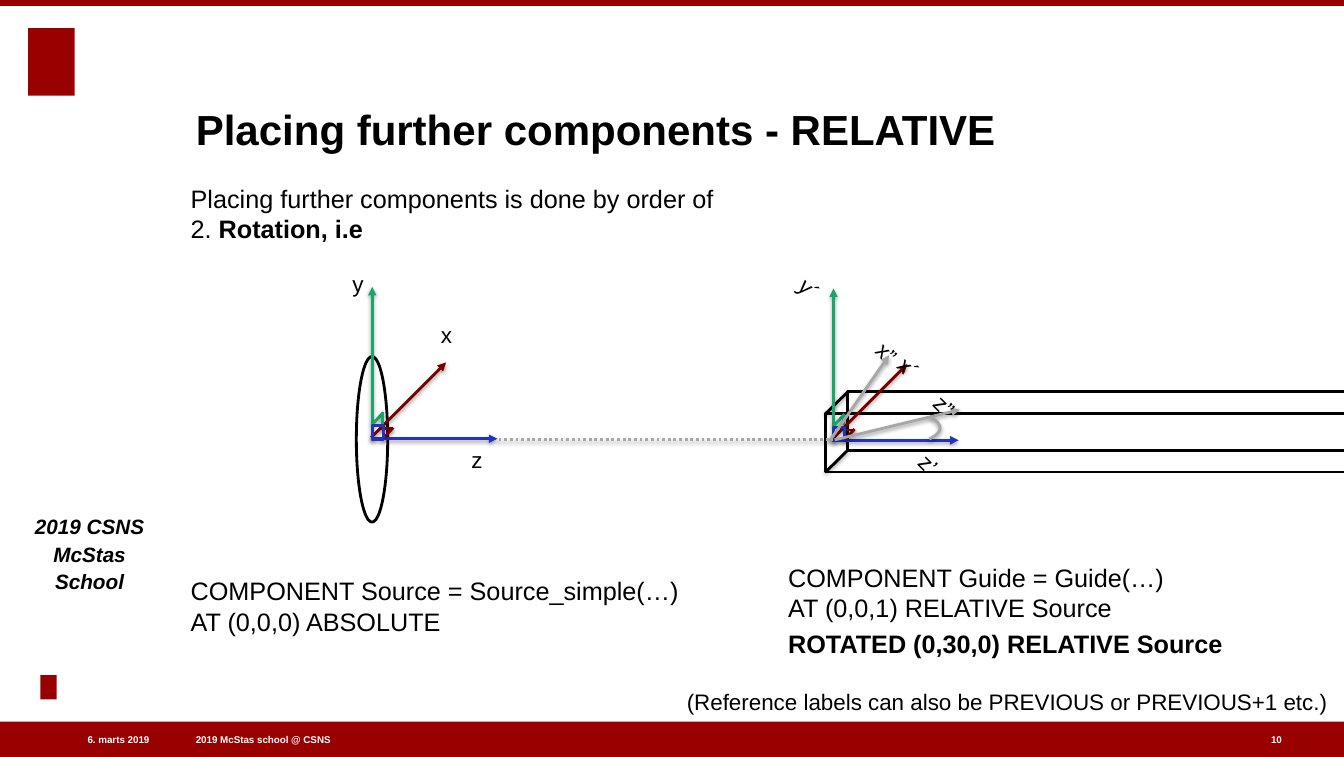
from lxml import etree
from pptx import Presentation
from pptx.dml.color import RGBColor
from pptx.enum.dml import MSO_LINE
from pptx.enum.shapes import MSO_CONNECTOR, MSO_SHAPE
from pptx.enum.text import MSO_ANCHOR, MSO_AUTO_SIZE, PP_ALIGN
from pptx.oxml import parse_xml
from pptx.oxml.ns import nsdecls, qn
from pptx.util import Cm, Pt

BLACK = RGBColor(0x00, 0x00, 0x00)
WHITE = RGBColor(0xFF, 0xFF, 0xFF)
BRAND_RED = RGBColor(0x99, 0x00, 0x00)
X_RED = RGBColor(0x7A, 0x00, 0x00)
Y_GREEN = RGBColor(0x19, 0xA6, 0x68)
Z_BLUE = RGBColor(0x26, 0x32, 0xBB)
GREY = RGBColor(0xA7, 0xA7, 0xA7)

TITLE = "Placing further components - RELATIVE"
# Paragraphs: (space before in points, [(text, bold), ...])
STEPS = [
    (0, [("Placing further components is done by order of\n2. ", False),
         ("Rotation, i.e", True)]),
    (237, [("COMPONENT Source = Source_simple(…)\nAT (0,0,0) ABSOLUTE", False)]),
]
GUIDE_CODE = [
    (0, [("COMPONENT Guide = Guide(…)\nAT (0,0,1) RELATIVE Source", False)]),
    (4, [("ROTATED (0,30,0) RELATIVE Source", True)]),
]
NOTE = "(Reference labels can also be PREVIOUS or PREVIOUS+1 etc.)"
SCHOOL = "2019 CSNS\nMcStas School"

# All places and sizes below are in centimetres.
BANDS = [(0, 18.16, 33.83, 0.89), (0, 0, 33.83, 0.15)]
LOGO_BLOCKS = [(0.71, 0.71, 1.17, 1.7), (1.02, 16.99, 0.41, 0.61)]
FOOTER = [
    ("2019 McStas school @ CSNS", (4.93, 18.44, 9.45, 0.36), PP_ALIGN.LEFT),
    ("6. marts 2019", (0.69, 18.44, 3.07, 0.36), PP_ALIGN.RIGHT),
    ("10", (31.75, 18.44, 0.76, 0.36), PP_ALIGN.CENTER),
]
SOURCE_ORIGIN = (9.37, 11.06)
GUIDE_ORIGIN = (20.98, 11.1)
# Start and end relative to the origin of the frame, colour, arrowhead
FRAME_LINES = [
    ((0, 0.03), (0, -3.84), Y_GREEN, True),
    ((0, -0.02), (3.15, -0.02), Z_BLUE, True),
    ((-0.03, -0.05), (1.86, -1.94), X_RED, True),
    ((0.18, -0.28), (0.53, -0.28), X_RED, False),
    ((0.25, 0), (0.53, -0.3), X_RED, False),
    ((0, -0.38), (0.28, -0.68), Y_GREEN, False),
    ((0.25, -0.4), (0.25, -0.68), Y_GREEN, False),
]
RIGHT_ANGLE = (0, -0.35, 0.28, 0.35)
SOURCE_DISC = (8.97, 8.97, 0.79, 4.17)
GUIDE_SIZE = (15.8, 1.47)
GUIDE_FAR = (21.34, 9.86)
GUIDE_NEAR = (20.78, 10.41)
ROTATED_AXES = [((20.88, 11.1), (22.38, 8.94)), ((21.01, 11.07), (24.16, 10.31))]
BEAM = ((12.55, 11.07), (20.96, 11.07))
ROTATION_ARC = [(23.42, 10.49), (23.75, 10.69), (23.75, 10.87), (23.39, 11.05)]
LABEL_SIZE = (0.8, 0.61)
# Text, centre, rotation in degrees
AXIS_LABELS = [
    ("x", (11.24, 8.38), 0), ("y", (9.01, 7.11), 0), ("z", (12.01, 11.53), 0),
    ("x´", (22.9, 9.24), 45), ("y´", (20.4, 7.24), 45), ("z’", (23.4, 11.66), 45),
    ("x”", (22.35, 8.86), 45), ("z”", (23.8, 10.2), 45),
]

prs = Presentation()
prs.slide_width, prs.slide_height = Cm(33.83), Cm(19.05)
slide = prs.slides.add_slide(prs.slide_layouts[1])
shapes = slide.shapes


def lengths(values):
    return [Cm(value) for value in values]


def shift(point, offset):
    return point[0] + offset[0], point[1] + offset[1]


def set_frame(frame, anchor=MSO_ANCHOR.TOP):
    values = dict(margin_left=0, margin_right=0, margin_top=0, margin_bottom=0,
                  word_wrap=True, auto_size=MSO_AUTO_SIZE.NONE, vertical_anchor=anchor)
    for name, value in values.items():
        setattr(frame, name, value)


def set_font(font, size, color=BLACK, **styles):
    values = dict(name="Arial", size=Pt(size), **styles)
    for name, value in values.items():
        setattr(font, name, value)
    font.color.rgb = color


def write(frame, paragraphs, size, align=PP_ALIGN.LEFT, color=BLACK, **styles):
    for index, (before, runs) in enumerate(paragraphs):
        paragraph = frame.paragraphs[0] if index == 0 else frame.add_paragraph()
        properties = paragraph._p.get_or_add_pPr()
        properties.set("marL", "0")
        properties.set("indent", "0")
        etree.SubElement(properties, qn("a:buNone"))
        paragraph.alignment = align
        paragraph.space_before = Pt(before)
        paragraph.text = runs[0][0]
        for text, _ in runs[1:]:
            paragraph.add_run().text = text
        first_count = len(paragraph.runs) - len(runs) + 1
        bolds = [runs[0][1]] * first_count + [bold for _, bold in runs[1:]]
        for run, bold in zip(paragraph.runs, bolds):
            set_font(run.font, size, color, bold=bold, **styles)


def add_text(box, paragraphs, size, anchor=MSO_ANCHOR.TOP, **styles):
    textbox = shapes.add_textbox(*lengths(box))
    set_frame(textbox.text_frame, anchor)
    write(textbox.text_frame, paragraphs, size, **styles)
    return textbox


def set_shadow(shape):
    shape._element.spPr.append(parse_xml(
        f'<a:effectLst {nsdecls("a")}><a:outerShdw blurRad="38100" dist="20320" '
        'dir="5400000" rotWithShape="0"><a:srgbClr val="000000">'
        '<a:alpha val="38000"/></a:srgbClr></a:outerShdw></a:effectLst>'))


def add_block(kind, box, fill=None, line=None):
    block = shapes.add_shape(kind, *lengths(box))
    block.shadow.inherit = False
    if fill is None:
        block.fill.background()
    else:
        block.fill.solid()
        block.fill.fore_color.rgb = fill
    if line is None:
        block.line.fill.background()
    else:
        block.line.color.rgb = line
        block.line.width = Pt(2)
    return block


def add_line(start, end, color, arrow=False, dash=None):
    line = shapes.add_connector(MSO_CONNECTOR.STRAIGHT, *lengths(start + end))
    line.line.color.rgb = color
    line.line.width = Pt(2)
    if dash:
        line.line.dash_style = dash
    if arrow:
        etree.SubElement(line.line._get_or_add_ln(), qn("a:tailEnd"), type="triangle")
    set_shadow(line)


def add_axes(origin):
    for start, end, color, arrow in FRAME_LINES:
        add_line(shift(origin, start), shift(origin, end), color, arrow)
    corner = shift(origin, RIGHT_ANGLE[:2])
    add_block(MSO_SHAPE.RECTANGLE, corner + RIGHT_ANGLE[2:], line=Z_BLUE)


def add_curve(controls, color, steps=16):
    """Draw a cubic Bezier curve as an open outline."""
    points = []
    for step in range(steps + 1):
        t = step / steps
        weights = ((1 - t) ** 3, 3 * t * (1 - t) ** 2, 3 * t * t * (1 - t), t ** 3)
        points.append(tuple(Cm(sum(w * c[axis] for w, c in zip(weights, controls)))
                            for axis in (0, 1)))
    builder = shapes.build_freeform(*points[0])
    builder.add_line_segments(points[1:], close=False)
    curve = builder.convert_to_shape()
    curve.fill.background()
    curve.line.color.rgb = color
    curve.line.width = Pt(2)
    set_shadow(curve)


title, body = shapes.title, slide.placeholders[1]
for holder, box, anchor, paragraphs, size in [
        (title, (4.93, 1.19, 25.86, 2.69), MSO_ANCHOR.BOTTOM, [(0, [(TITLE, True)])], 30),
        (body, (4.8, 4.6, 25.86, 12.62), MSO_ANCHOR.TOP, STEPS, 18)]:
    holder.left, holder.top, holder.width, holder.height = lengths(box)
    set_frame(holder.text_frame, anchor)
    write(holder.text_frame, paragraphs, size)

for box in BANDS + LOGO_BLOCKS:
    add_block(MSO_SHAPE.RECTANGLE, box, fill=BRAND_RED)
for text, box, align in FOOTER:
    add_text(box, [(0, [(text, True)])], 7, MSO_ANCHOR.MIDDLE, align=align, color=WHITE)
school = add_text((0.86, 12.93, 2.79, 2.01), [(0, [(SCHOOL, True)])], 14.8,
                  MSO_ANCHOR.BOTTOM, align=PP_ALIGN.CENTER, italic=True)
school.text_frame.paragraphs[0].line_spacing = 1.1

add_block(MSO_SHAPE.RECTANGLE, GUIDE_FAR + GUIDE_SIZE, WHITE, BLACK)
set_shadow_disc = add_block(MSO_SHAPE.OVAL, SOURCE_DISC, WHITE, BLACK)
add_axes(SOURCE_ORIGIN)
add_block(MSO_SHAPE.RECTANGLE, GUIDE_NEAR + GUIDE_SIZE, line=BLACK)
for drop in (0, GUIDE_SIZE[1]):
    add_line(shift(GUIDE_NEAR, (0, drop)), shift(GUIDE_FAR, (0, drop)), BLACK)
add_axes(GUIDE_ORIGIN)
for start, end in ROTATED_AXES:
    add_line(start, end, GREY, arrow=True)
add_line(*BEAM, GREY, dash=MSO_LINE.ROUND_DOT)
add_curve(ROTATION_ARC, GREY)

for text, centre, rotation in AXIS_LABELS:
    corner = shift(centre, (-LABEL_SIZE[0] / 2, -LABEL_SIZE[1] / 2))
    label = add_text(corner + LABEL_SIZE, [(0, [(text, False)])], 16, align=PP_ALIGN.CENTER)
    label.rotation = rotation
add_text((19.84, 14.15, 13, 2.36), GUIDE_CODE, 18)
add_text((17.02, 17.32, 16.4, 0.61), [(0, [(NOTE, False)])], 16, align=PP_ALIGN.RIGHT)

prs.save("out.pptx")
